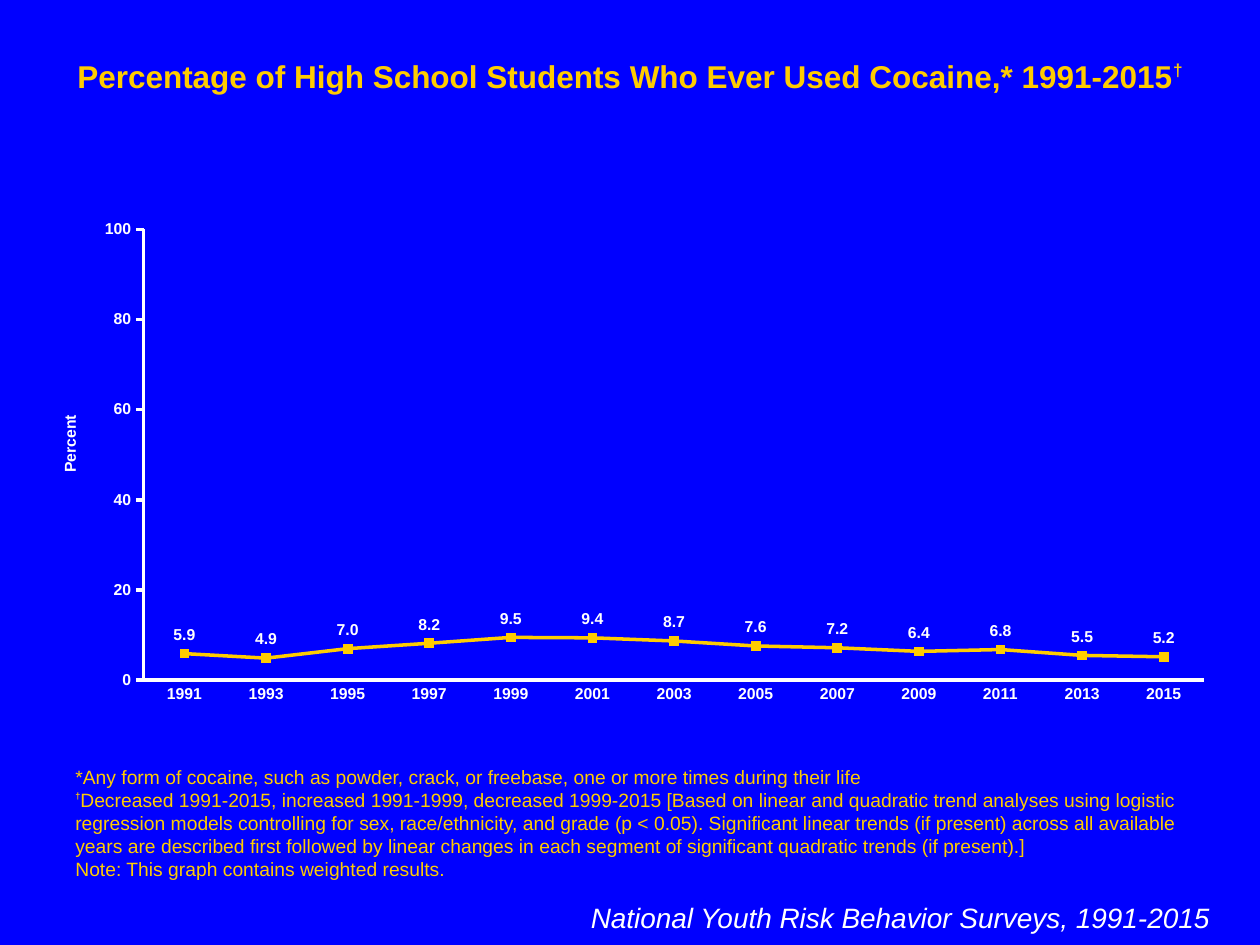
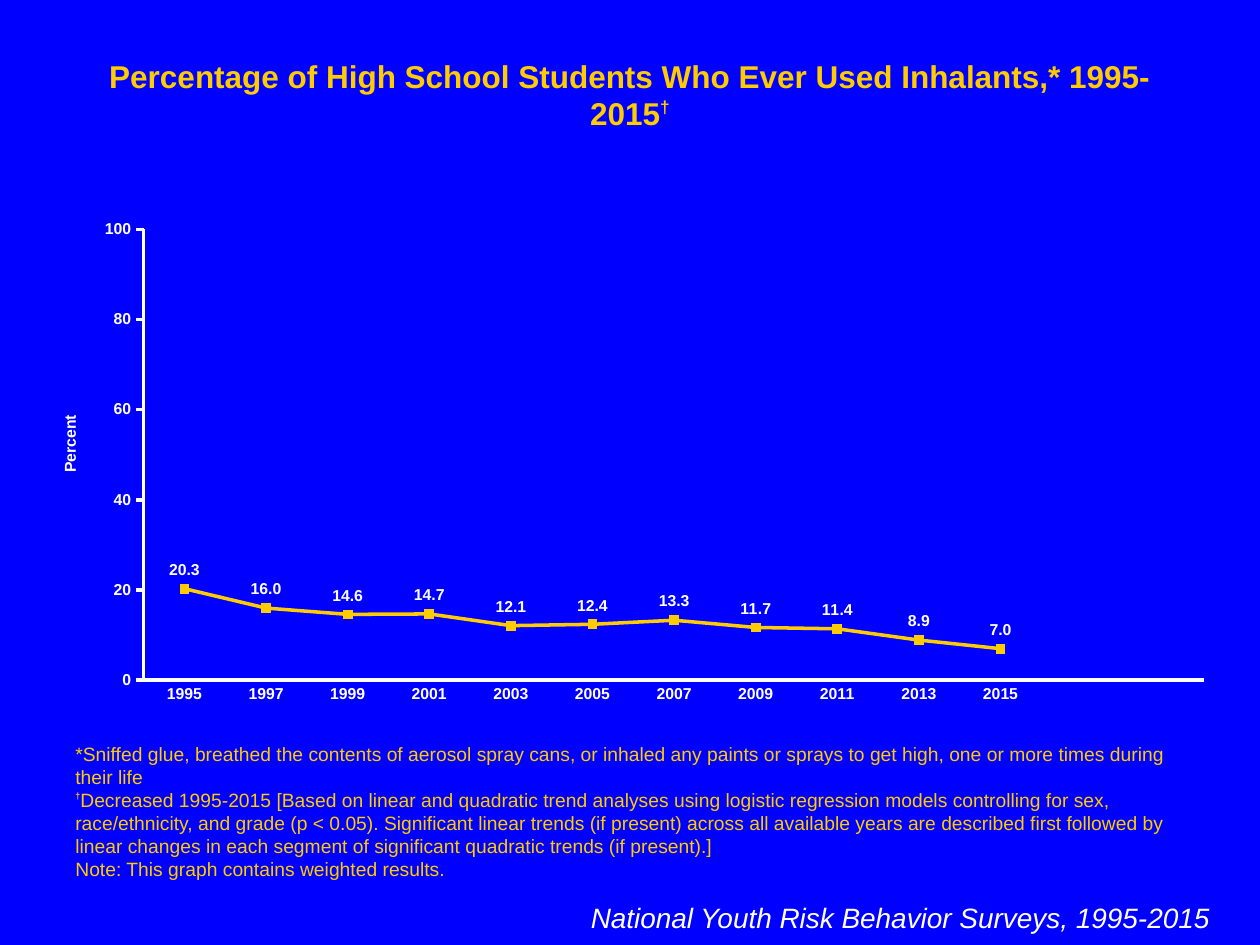
from pptx import Presentation
from pptx.chart.data import CategoryChartData
from pptx.dml.color import RGBColor
from pptx.enum.chart import XL_CHART_TYPE, XL_LABEL_POSITION, XL_MARKER_STYLE, XL_TICK_MARK
from pptx.enum.text import MSO_ANCHOR, MSO_AUTO_SIZE, PP_ALIGN
from pptx.oxml import parse_xml
from pptx.oxml.ns import nsdecls, qn
from pptx.util import Inches, Pt

COLORS = {"background": "0000FF", "accent": "FFCC00", "text": "FFFFFF"}
FONT = "Arial"
WIDTH, HEIGHT = 10, 7.5
MARGIN = 0.05 * WIDTH
SLOTS = 13  # survey years on the category axis
CHART_BOX = (0.25, 1.67, 9.5, 4)
PLOT_BOX = (1.14, 1.82, 8.42, 3.58)
AXIS_TITLE_AT = (0.45, 3.27)

TREND_METHOD = (
    " [Based on linear and quadratic trend analyses using logistic regression models "
    "controlling for sex, race/ethnicity, and grade (p < 0.05). Significant linear trends "
    "(if present) across all available years are described first followed by linear changes "
    "in each segment of significant quadratic trends (if present).]"
)

SURVEYS = [
    {
        "behavior": "Cocaine",
        "first": 1991,
        "definition": "*Any form of cocaine, such as powder, crack, or freebase, "
                      "one or more times during their life",
        "trend": "Decreased 1991-2015, increased 1991-1999, decreased 1999-2015",
        "percents": [5.9, 4.9, 7.0, 8.2, 9.5, 9.4, 8.7, 7.6, 7.2, 6.4, 6.8, 5.5, 5.2],
    },
    {
        "behavior": "Inhalants",
        "first": 1995,
        "definition": "*Sniffed glue, breathed the contents of aerosol spray cans, or inhaled "
                      "any paints or sprays to get high, one or more times during their life",
        "trend": "Decreased 1995-2015",
        "percents": [20.3, 16.0, 14.6, 14.7, 12.1, 12.4, 13.3, 11.7, 11.4, 8.9, 7.0],
    },
]


def rgb(name):
    return RGBColor.from_string(COLORS[name])


def style_font(font, size, color="text", bold=False, italic=False):
    font.name, font.size = FONT, Pt(size)
    font.bold, font.italic = bold, italic
    font.color.rgb = rgb(color)


def add_run(p, text, size, color="accent", bold=False, italic=False, raised=0):
    """Add one run; raised is the superscript offset in percent."""
    r = p.add_run()
    r.text = text
    style_font(r.font, size, color, bold, italic)
    if raised:
        r.font._element.set("baseline", str(raised * 1000))


def add_text_box(s, left, top, width, height, anchor=MSO_ANCHOR.TOP):
    tf = s.shapes.add_textbox(*map(Inches, (left, top, width, height))).text_frame
    tf.word_wrap = True
    tf.auto_size = MSO_AUTO_SIZE.SHAPE_TO_FIT_TEXT
    tf.vertical_anchor = anchor
    return tf


def add_title(s, behavior, period):
    p = add_text_box(s, MARGIN, 0.4, WIDTH - 2 * MARGIN, 0.4).paragraphs[0]
    p.alignment = PP_ALIGN.CENTER
    add_run(p, f"Percentage of High School Students Who Ever Used {behavior},* {period}",
            18, bold=True)
    add_run(p, "†", 17, bold=True, raised=40)


def add_footnotes(s, definition, trend):
    tf = add_text_box(s, MARGIN, 0.9 * HEIGHT, WIDTH - 2 * MARGIN, 0.29, MSO_ANCHOR.BOTTOM)
    add_run(tf.paragraphs[0], definition, 11)
    p = tf.add_paragraph()
    add_run(p, "†", 9, bold=True, raised=50)
    add_run(p, trend + TREND_METHOD, 11)
    add_run(tf.add_paragraph(), "Note: This graph contains weighted results.", 11)


def add_source(s, period):
    p = add_text_box(s, 4.53, 7.1, 5.17, 0.37).paragraphs[0]
    p.alignment = PP_ALIGN.RIGHT
    add_run(p, f"National Youth Risk Behavior Surveys, {period}", 16, "text", italic=True)


def place_in_chart(element, left, top, width=None, height=None):
    """Fix a chart part at slide inches by a manual layout in shares of the chart."""
    chart_left, chart_top, chart_width, chart_height = CHART_BOX
    shares = {"x": (left - chart_left) / chart_width, "y": (top - chart_top) / chart_height}
    target = ""
    if width:
        target = '<c:layoutTarget val="inner"/>'
        shares.update(w=width / chart_width, h=height / chart_height)
    values = "".join(f'<c:{k} val="{v:.4f}"/>' for k, v in shares.items())
    layout = parse_xml(
        f'<c:layout {nsdecls("c")}><c:manualLayout>{target}<c:xMode val="edge"/>'
        f'<c:yMode val="edge"/>{values}</c:manualLayout></c:layout>')
    present = element.find(qn("c:layout"))
    if present is None:
        element.insert(0, layout)
    else:
        element.replace(present, layout)


def style_axis(axis, tick):
    axis.has_major_gridlines = False
    axis.major_tick_mark = tick
    axis.minor_tick_mark = XL_TICK_MARK.NONE
    axis.format.line.color.rgb = rgb("text")
    axis.format.line.width = Pt(2)
    style_font(axis.tick_labels.font, 9, bold=True)


def style_percent_axis(axis):
    style_axis(axis, XL_TICK_MARK.OUTSIDE)
    axis.minimum_scale, axis.maximum_scale, axis.major_unit = 0, 100, 20
    axis.tick_labels.number_format = "#,##0"
    axis.tick_labels.number_format_is_linked = False
    title = axis.axis_title
    tf = title.text_frame
    add_run(tf.paragraphs[0], "Percent", 9, "text", bold=True)
    body = title._element.find(".//" + qn("a:bodyPr"))
    body.set("rot", "-5400000")
    body.set("vert", "horz")
    place_in_chart(title._element, *AXIS_TITLE_AT)


def style_series(series):
    series.smooth = False
    series.format.line.color.rgb = rgb("accent")
    series.format.line.width = Pt(2)
    marker = series.marker
    marker.style, marker.size = XL_MARKER_STYLE.SQUARE, 5
    marker.format.fill.solid()
    marker.format.fill.fore_color.rgb = rgb("accent")
    marker.format.line.color.rgb = rgb("accent")
    labels = series.data_labels
    labels.show_value = True
    labels.position = XL_LABEL_POSITION.ABOVE
    labels.number_format = "#,##0.0"
    labels.number_format_is_linked = False
    style_font(labels.font, 9, bold=True)


def add_trend_chart(s, first, percents):
    unused = SLOTS - len(percents)
    data = CategoryChartData()
    data.categories = [str(first + 2 * i) for i in range(len(percents))] + [""] * unused
    data.add_series("Series 1", percents + [None] * unused)
    chart = s.shapes.add_chart(
        XL_CHART_TYPE.LINE_MARKERS, *map(Inches, CHART_BOX), data).chart
    chart.has_title = chart.has_legend = False
    style_font(chart.font, 18)
    chart.plots[0].vary_by_categories = False
    style_axis(chart.category_axis, XL_TICK_MARK.NONE)
    style_percent_axis(chart.value_axis)
    style_series(chart.plots[0].series[0])
    place_in_chart(chart._chartSpace.find(".//" + qn("c:plotArea")), *PLOT_BOX)


def add_survey_slide(prs, survey):
    s = prs.slides.add_slide(prs.slide_layouts[6])
    s.background.fill.solid()
    s.background.fill.fore_color.rgb = rgb("background")
    period = f"{survey['first']}-2015"
    add_title(s, survey["behavior"], period)
    add_footnotes(s, survey["definition"], survey["trend"])
    add_source(s, period)
    add_trend_chart(s, survey["first"], survey["percents"])


def main():
    prs = Presentation()
    prs.slide_width, prs.slide_height = Inches(WIDTH), Inches(HEIGHT)
    for survey in SURVEYS:
        add_survey_slide(prs, survey)
    prs.save("out.pptx")


if __name__ == "__main__":
    main()
